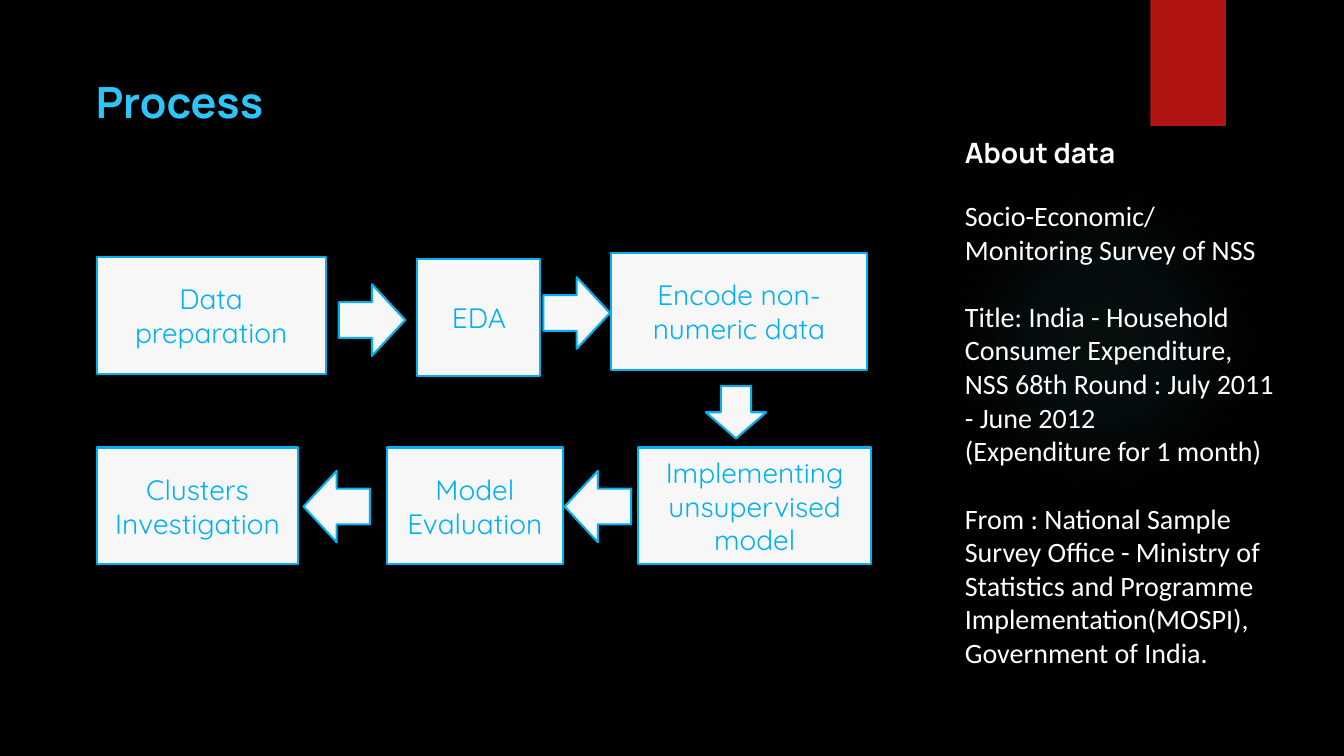
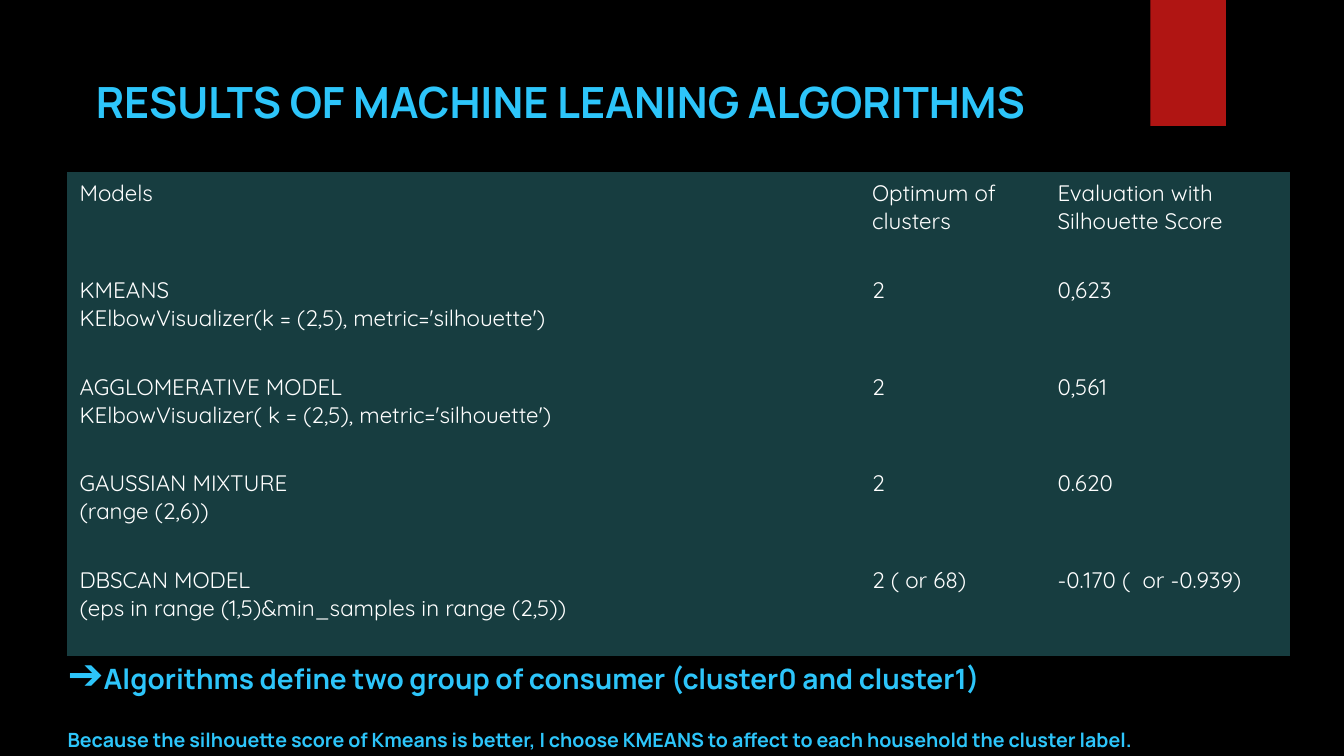
import pptx
import pptx.util
import pptx.dml.color
import pptx.enum.shapes
import pptx.enum.text
import pptx.oxml
import pptx.oxml.ns
from pptx.util import Inches

Pt = pptx.util.Pt
SHAPE = pptx.enum.shapes.MSO_SHAPE
ALIGN = pptx.enum.text.PP_ALIGN
ANCHOR = pptx.enum.text.MSO_ANCHOR

# Shared colours, fonts and spacing
BLACK, WHITE = "000000", "FFFFFF"
TITLE_BLUE, BOX_BLUE, BOX_FILL = "2DC5FA", "00B0F0", "F7F7F7"
BAND_RED, GLOW_TEAL, TABLE_TEAL = "B01513", "50B9C1", "173D40"
HEAD, BODY, PLAIN = "Manrope", "Quicksand", "Calibri"
INSET = 0.13
GAP_AFTER = 21.3
NO_GRID_STYLE = "{2D5ABB26-0587-4C30-8999-92F81FD0307C}"


def rgb(color):
    return pptx.dml.color.RGBColor.from_string(color)


# Text
def add_run(p, text, size, font, color, bold=False):
    r = p.add_run()
    r.text = text
    r.font.size = Pt(size)
    r.font.name = font
    r.font.bold = bold
    r.font.color.rgb = rgb(color)


def next_paragraph(tf, after=0, align=ALIGN.LEFT):
    p = tf.paragraphs[0]
    if p.runs:
        p = tf.add_paragraph()
    p.alignment = align
    p.space_before = Pt(0)
    p.space_after = Pt(after)
    return p


def set_frame(tf):
    tf.word_wrap = True
    tf.auto_size = pptx.enum.text.MSO_AUTO_SIZE.NONE
    tf.vertical_anchor = ANCHOR.TOP
    tf.margin_left = tf.margin_right = Inches(INSET)
    tf.margin_top = tf.margin_bottom = Inches(INSET)


def add_text_box(s, left, top, width, height):
    tf = s.shapes.add_textbox(Inches(left), Inches(top),
                              Inches(width), Inches(height)).text_frame
    set_frame(tf)
    return tf


# Shapes
def add_shape(s, kind, left, top, width, height, fill, line=None):
    sp = s.shapes.add_shape(kind, Inches(left), Inches(top),
                            Inches(width), Inches(height))
    sp.shadow.inherit = False
    sp.fill.solid()
    sp.fill.fore_color.rgb = rgb(fill)
    if line:
        sp.line.color.rgb = rgb(line)
        sp.line.width = Pt(1.5)
    else:
        sp.line.fill.background()
    return sp


def add_step(s, text, left, top, width):
    sp = add_shape(s, SHAPE.RECTANGLE, left, top, width, 1.16, BOX_FILL, BOX_BLUE)
    tf = sp.text_frame
    tf.word_wrap = True
    tf.vertical_anchor = ANCHOR.MIDDLE
    add_run(next_paragraph(tf, align=ALIGN.CENTER), text, 20, BODY, BOX_BLUE)


def add_arrow(s, kind, left, top, width=0.66, height=0.71):
    add_shape(s, kind, left, top, width, height, BOX_FILL, BOX_BLUE)


def add_glow(s):
    sp = add_shape(s, SHAPE.OVAL, 9.41, 1.83, 3.08, 3.08, GLOW_TEAL)
    stops = "".join(
        f'<a:gs pos="{pos * 1000}"><a:srgbClr val="{GLOW_TEAL}">'
        f'<a:alpha val="{alpha * 1000}"/></a:srgbClr></a:gs>'
        for pos, alpha in [(0, 7), (36, 6), (69, 0)])
    gradient = pptx.oxml.parse_xml(
        f'<a:gradFill {pptx.oxml.ns.nsdecls("a")}><a:gsLst>{stops}</a:gsLst>'
        '<a:path path="circle"><a:fillToRect l="50000" t="50000" r="50000" '
        'b="50000"/></a:path></a:gradFill>')
    sp_pr = sp.element.spPr
    solid = sp_pr.find(pptx.oxml.ns.qn("a:solidFill"))
    sp_pr.replace(solid, gradient)


# Common slide: glow, red band and title
def add_slide(prs, title, title_width):
    s = prs.slides.add_slide(prs.slide_layouts[5])
    add_glow(s)
    add_shape(s, SHAPE.RECTANGLE, 11.41, 0, 0.75, 1.25, BAND_RED)
    sp = s.shapes.title
    sp.left, sp.top = Inches(0.82), Inches(0.62)
    sp.width, sp.height = Inches(title_width), Inches(0.72)
    set_frame(sp.text_frame)
    add_run(next_paragraph(sp.text_frame, GAP_AFTER), title,
            30.7, HEAD, TITLE_BLUE, True)
    return s


def add_table(s, left, top, widths, row_height, rows):
    frame = s.shapes.add_table(len(rows), len(widths), Inches(left), Inches(top),
                               Inches(sum(widths)), Inches(row_height * len(rows)))
    table = frame.table
    table.first_row = table.horz_banding = False
    style = frame.element.find(".//" + pptx.oxml.ns.qn("a:tableStyleId"))
    style.text = NO_GRID_STYLE
    for column, width in zip(table.columns, widths):
        column.width = Inches(width)
    for row, texts in zip(table.rows, rows):
        row.height = Inches(row_height)
        for cell, text in zip(row.cells, texts):
            cell.fill.solid()
            cell.fill.fore_color.rgb = rgb(TABLE_TEAL)
            cell.margin_left = cell.margin_right = Inches(INSET)
            cell.margin_top = cell.margin_bottom = Inches(0.07)
            for line in text.split("\n"):
                add_run(next_paragraph(cell.text_frame), line, 16, BODY, WHITE)


def build_process(prs):
    s = add_slide(prs, "Process", 7.11)

    # Notes on the data
    tf = add_text_box(s, 9.44, 1.21, 3.36, 5.95)
    add_run(next_paragraph(tf, GAP_AFTER), "About data", 20, HEAD, WHITE, True)
    for text, after in [
        ("Socio-Economic/Monitoring Survey of NSS", 24),
        ("Title: India - Household Consumer Expenditure, "
         "NSS 68th Round : July 2011 - June 2012", 0),
        ("(Expenditure for 1 month)", 24),
        ("From : National Sample Survey Office - Ministry of Statistics and "
         "Programme Implementation(MOSPI), Government of India.", 0),
    ]:
        add_run(next_paragraph(tf, after), text, 20, PLAIN, WHITE)

    # Steps, then the arrows between them
    for step in [
        ("Data preparation", 0.96, 2.55, 2.27),
        ("EDA", 4.14, 2.57, 1.22),
        ("Encode non-numeric data", 6.06, 2.51, 2.54),
        ("Implementing unsupervised model", 6.33, 4.44, 2.31),
        ("Model Evaluation", 3.84, 4.44, 1.74),
        ("Clusters Investigation", 0.96, 4.44, 2),
    ]:
        add_step(s, *step)
    add_arrow(s, SHAPE.RIGHT_ARROW, 3.36, 2.82)
    add_arrow(s, SHAPE.RIGHT_ARROW, 5.39, 2.75)
    add_arrow(s, SHAPE.DOWN_ARROW, 7, 3.83, 0.6, 0.52)
    add_arrow(s, SHAPE.LEFT_ARROW, 5.6, 4.67)
    add_arrow(s, SHAPE.LEFT_ARROW, 3.01, 4.67)


def build_results(prs):
    s = add_slide(prs, "RESULTS OF MACHINE LEANING ALGORITHMS", 9.95)
    add_table(s, 0.66, 1.71, [7.86, 1.84, 2.44], 0.96, [
        ("Models", "Optimum of clusters", "Evaluation with Silhouette Score"),
        ("KMEANS\nKElbowVisualizer(k = (2,5), metric='silhouette')", "2", "0,623"),
        ("AGGLOMERATIVE MODEL\nKElbowVisualizer( k = (2,5), metric='silhouette')",
         "2", "0,561"),
        ("GAUSSIAN MIXTURE\n(range (2,6))", "2", "0.620"),
        ("DBSCAN MODEL\n(eps in range (1,5)&min_samples in range (2,5))",
         "2 ( or 68)", "-0.170 (  or -0.939)"),
    ])

    # Conclusion
    tf = add_text_box(s, 0.54, 6.28, 12.14, 0.68)
    p = next_paragraph(tf, GAP_AFTER)
    add_run(p, "➔", 30.7, HEAD, TITLE_BLUE, True)
    add_run(p, "Algorithms define two group of consumer (cluster0 and cluster1)",
            20, HEAD, TITLE_BLUE, True)
    add_run(next_paragraph(tf, GAP_AFTER),
            "Because the silhouette score of Kmeans is better, I choose KMEANS "
            "to affect to each household the cluster label.",
            14, HEAD, TITLE_BLUE, True)


def main():
    prs = pptx.Presentation()
    prs.slide_width, prs.slide_height = Inches(13.33), Inches(7.5)
    background = prs.slide_master.background.fill
    background.solid()
    background.fore_color.rgb = rgb(BLACK)
    build_process(prs)
    build_results(prs)
    prs.save("out.pptx")


if __name__ == "__main__":
    main()
